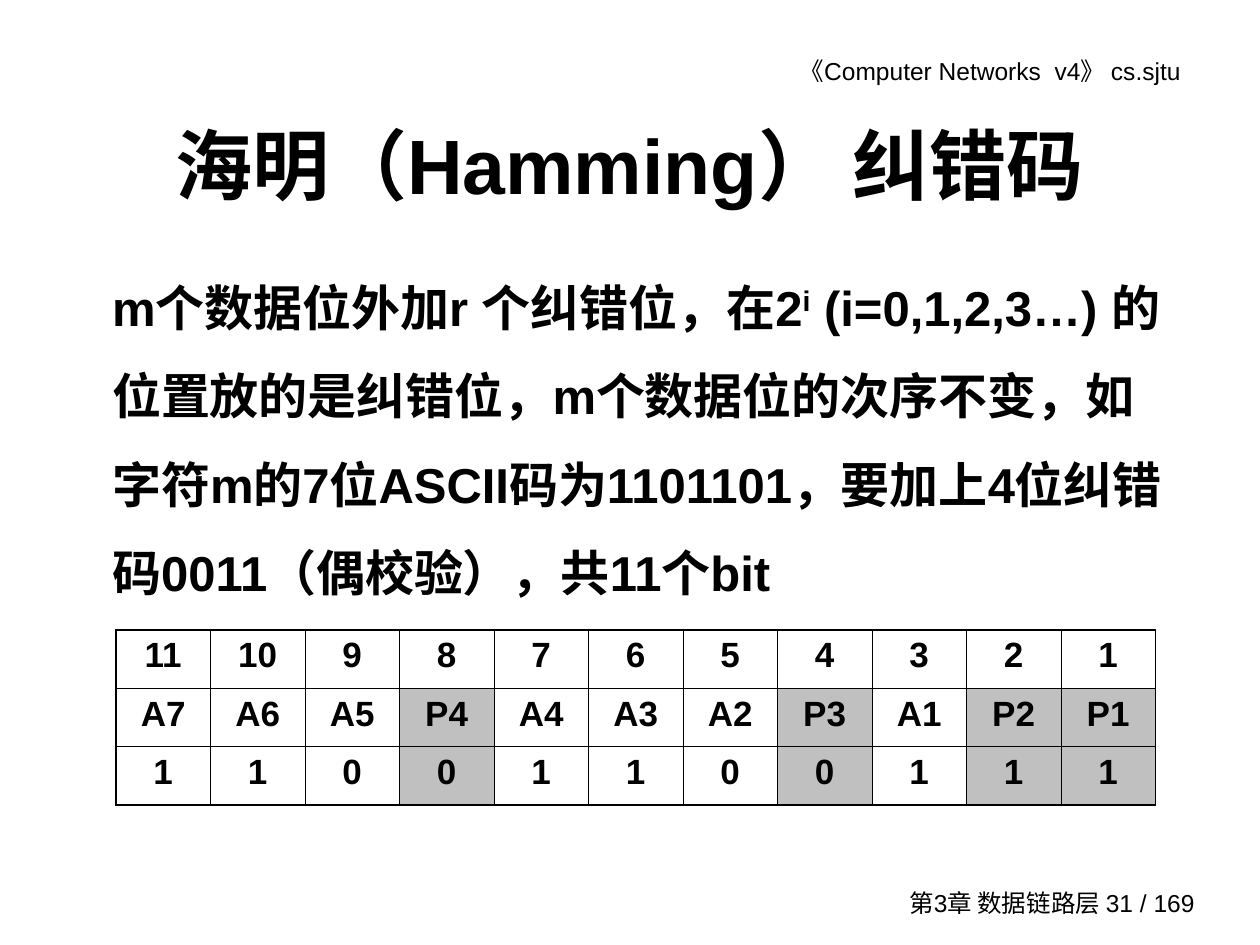
from lxml import etree
from pptx import Presentation, util as u
from pptx.dml.color import RGBColor
from pptx.enum import text
from pptx.oxml.ns import qn

BLACK = RGBColor(0x00, 0x00, 0x00)
GREY = RGBColor(0xC0, 0xC0, 0xC0)
THIN, THICK = 0.45, 1.08

prs = Presentation()
prs.slide_width, prs.slide_height = u.Inches(10), u.Inches(7.5)
W, H = prs.slide_width, prs.slide_height
s = prs.slides.add_slide(prs.slide_layouts[1])


def place(sp, x, y, w, h, anchor):
    """Position a text shape by shares of the slide and set up its frame."""
    sp.left, sp.top, sp.width, sp.height = int(x * W), int(y * H), int(w * W), int(h * H)
    tf = sp.text_frame
    fmt = dict(word_wrap=True, auto_size=text.MSO_AUTO_SIZE.NONE, vertical_anchor=anchor,
               margin_left=u.Inches(0.1), margin_right=u.Inches(0.1),
               margin_top=u.Inches(0.05), margin_bottom=u.Inches(0.05))
    for name, value in fmt.items():
        setattr(tf, name, value)
    return tf


def add_run(p, words, size, bold=True, font="Arial"):
    r = p.add_run()
    r.text = words
    for name, value in dict(name=font, size=u.Pt(size), bold=bold).items():
        setattr(r.font, name, value)
    r.font.color.rgb = BLACK
    return r


TOP, MIDDLE = text.MSO_ANCHOR.TOP, text.MSO_ANCHOR.MIDDLE

# Running header and footer
for words, box, anchor, right in (
    ("《Computer Networks  v4》 cs.sjtu", (0.527, 0.053, 0.431, 0.045), TOP, 0.21),
    ("第3章 数据链路层 31 / 169", (0.694, 0.933, 0.264, 0.044), MIDDLE, 0.1),
):
    tf = place(s.shapes.add_textbox(0, 0, 0, 0), *box, anchor)
    tf.margin_right = u.Inches(right)
    p = tf.paragraphs[0]
    p.alignment = text.PP_ALIGN.RIGHT
    add_run(p, words, 14, bold=False)

# Title, with the full-width brackets in a serif font
p = place(s.shapes.title, 0.075, 0.09, 0.85, 0.167, MIDDLE).paragraphs[0]
p.alignment = text.PP_ALIGN.CENTER
for words in ("海明", "（", "Hamming", "）", " 纠错码"):
    add_run(p, words, 44, font="Times New Roman" if words in "（）" else "Arial")

# Body paragraph without a bullet
p = place(s.placeholders[1], 0.079, 0.256, 0.863, 0.4, TOP).paragraphs[0]
pPr = p._p.get_or_add_pPr()
pPr.set("marL", "0")
pPr.set("indent", "0")
etree.SubElement(pPr, qn("a:buNone"))
p.line_spacing, p.space_before = 1.5, u.Pt(0)
add_run(p, "m个数据位外加r 个纠错位，在2", 28)
add_run(p, "i", 28).font._element.set("baseline", "30000")
add_run(p, " (i=0,1,2,3…) 的位置放的是纠错位，m个数据位的次序不变，"
           "如字符m的7位ASCII码为1101101，要加上4位纠错码0011（偶校验），共11个bit", 28)

# Code table: bit positions, bit names, bit values
rows = [
    [str(n) for n in range(11, 0, -1)],
    "A7 A6 A5 P4 A4 A3 A2 P3 A1 P2 P1".split(),
    list("11001100111"),
]
n_rows, n_cols = len(rows), len(rows[0])
col_w, row_h = u.Inches(0.75), u.Inches(0.463)
table = s.shapes.add_table(n_rows, n_cols, u.Inches(0.92), u.Inches(5),
                           n_cols * col_w, n_rows * row_h).table
table.first_row = table.horz_banding = False

for i, row in enumerate(rows):
    for j, words in enumerate(row):
        cell = table.cell(i, j)
        cell.margin_left = cell.margin_right = u.Inches(0.04)
        cell.margin_top = cell.margin_bottom = u.Inches(0.05)
        p = cell.text_frame.paragraphs[0]
        p.alignment = text.PP_ALIGN.CENTER
        add_run(p, words, 20)

        # Borders are thicker around the outside
        outer = dict(lnL=j == 0, lnR=j == n_cols - 1, lnT=i == 0, lnB=i == n_rows - 1)
        for side, is_outer in outer.items():
            ln = etree.SubElement(cell._tc.get_or_add_tcPr(), qn("a:" + side),
                                  w=str(u.Pt(THICK if is_outer else THIN)))
            fill = etree.SubElement(ln, qn("a:solidFill"))
            etree.SubElement(fill, qn("a:srgbClr"), val=str(BLACK))

        # Check bits are shaded below the position row
        if i > 0 and rows[1][j].startswith("P"):
            cell.fill.solid()
            cell.fill.fore_color.rgb = GREY
        else:
            cell.fill.background()

prs.save("out.pptx")
